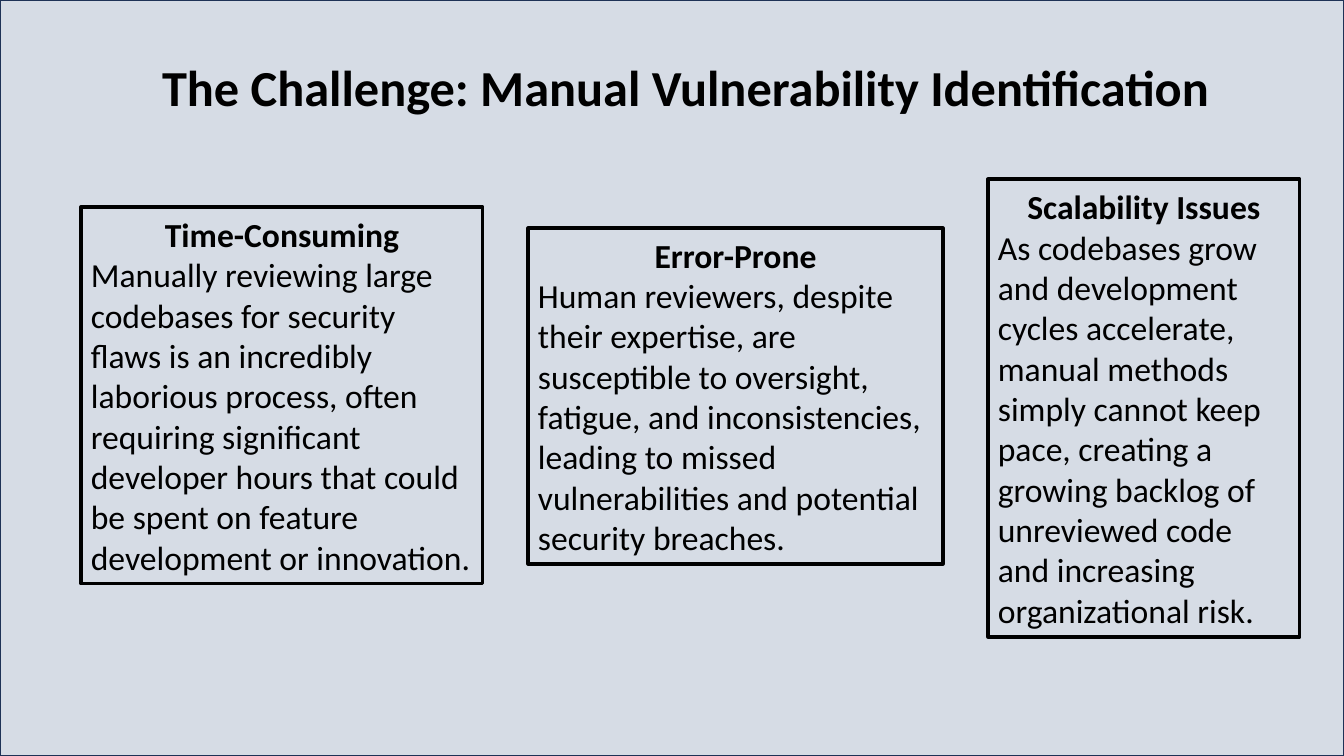
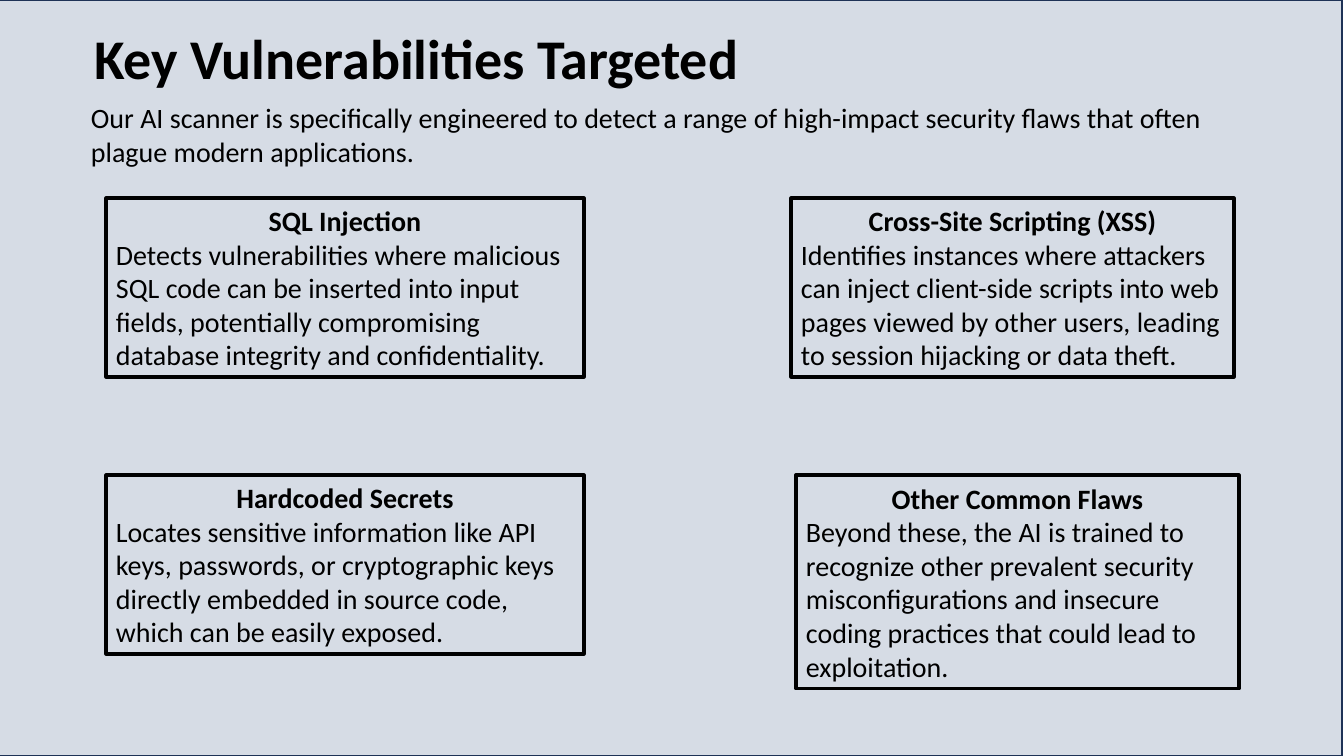
import pptx
import pptx.util
import pptx.dml.color
import pptx.enum.shapes
import pptx.enum.text

PX = 914400 / 100.8  # EMU per px
W, H = 1344, 756

BACKDROP = pptx.dml.color.RGBColor(0xD6, 0xDC, 0xE5)
EDGE = pptx.dml.color.RGBColor(0x1E, 0x32, 0x56)
BLACK = pptx.dml.color.RGBColor(0, 0, 0)

LEFT = pptx.enum.text.PP_ALIGN.LEFT
CENTER = pptx.enum.text.PP_ALIGN.CENTER
TOP = pptx.enum.text.MSO_ANCHOR.TOP
MIDDLE = pptx.enum.text.MSO_ANCHOR.MIDDLE
RECT = pptx.enum.shapes.MSO_SHAPE.RECTANGLE


def box(*lengths):
    return [pptx.util.Emu(round(n * PX)) for n in lengths]


def write(sp, paragraphs, size, anchor):
    """Fill a shape with (text, bold, alignment) paragraphs."""
    tf = sp.text_frame
    frame = {"word_wrap": True, "vertical_anchor": anchor,
             "auto_size": pptx.enum.text.MSO_AUTO_SIZE.NONE}
    for name, value in frame.items():
        setattr(tf, name, value)
    for i, (text, bold, align) in enumerate(paragraphs):
        p = tf.add_paragraph() if i else tf.paragraphs[0]
        p.alignment = align
        r = p.add_run()
        r.text = text
        font = {"name": "Calibri", "size": pptx.util.Pt(size), "bold": bold}
        for name, value in font.items():
            setattr(r.font, name, value)
        r.font.color.rgb = BLACK


# Slide content: places are left, top, width, height in px
slides = [
    {
        "title": "The Challenge: Manual Vulnerability Identification",
        "title_at": (152, 51, 1083, 102), "title_size": 36,
        "backdrop_left": 0, "card_size": 24,
        "cards": [
            ((81, 207, 402, 377), "Time-Consuming",
             "Manually reviewing large codebases for security flaws is an "
             "incredibly laborious process, often requiring significant "
             "developer hours that could be spent on feature development "
             "or innovation."),
            ((528, 228, 415, 336), "Error-Prone",
             "Human reviewers, despite their expertise, are susceptible to "
             "oversight, fatigue, and inconsistencies, leading to missed "
             "vulnerabilities and potential security breaches."),
            ((988, 179, 312, 458), "Scalability Issues",
             "As codebases grow and development cycles accelerate, manual "
             "methods simply cannot keep pace, creating a growing backlog "
             "of unreviewed code and increasing organizational risk."),
        ],
    },
    {
        "title": "Key Vulnerabilities Targeted",
        "title_at": (84, 18, 1171, 78), "title_size": 40,
        "intro": "Our AI scanner is specifically engineered to detect a range "
                 "of high-impact security flaws that often plague modern "
                 "applications.",
        "intro_at": (81, 96, 1182, 78),
        "backdrop_left": -2, "card_size": 20,
        "cards": [
            ((106, 198, 478, 179), "SQL Injection",
             "Detects vulnerabilities where malicious SQL code can be "
             "inserted into input fields, potentially compromising database "
             "integrity and confidentiality."),
            ((791, 198, 443, 179), "Cross-Site Scripting (XSS)",
             "Identifies instances where attackers can inject client-side "
             "scripts into web pages viewed by other users, leading to "
             "session hijacking or data theft."),
            ((106, 475, 478, 179), "Hardcoded Secrets",
             "Locates sensitive information like API keys, passwords, or "
             "cryptographic keys directly embedded in source code, which "
             "can be easily exposed."),
            ((796, 475, 443, 214), "Other Common Flaws",
             "Beyond these, the AI is trained to recognize other prevalent "
             "security misconfigurations and insecure coding practices that "
             "could lead to exploitation."),
        ],
    },
]

prs = pptx.Presentation()
prs.slide_width, prs.slide_height = box(W, H)

for content in slides:
    s = prs.slides.add_slide(prs.slide_layouts[5])

    # Backdrop, sent behind the title
    sp = s.shapes.add_shape(RECT, *box(content["backdrop_left"], 0, W, H))
    sp.shadow.inherit = False
    sp.fill.solid()
    sp.fill.fore_color.rgb = BACKDROP
    sp.line.color.rgb = EDGE
    sp.line.width = pptx.util.Pt(1)
    s.shapes._spTree.insert(2, sp._element)

    # Title
    title = s.shapes.title
    title.left, title.top, title.width, title.height = box(*content["title_at"])
    write(title, [(content["title"], True, LEFT)], content["title_size"], TOP)

    # Introduction
    if "intro" in content:
        sp = s.shapes.add_textbox(*box(*content["intro_at"]))
        write(sp, [(content["intro"], False, LEFT)], 20, TOP)

    # Outlined cards
    for place, heading, text in content["cards"]:
        sp = s.shapes.add_shape(RECT, *box(*place))
        sp.shadow.inherit = False
        sp.fill.background()
        sp.line.color.rgb = BLACK
        sp.line.width = pptx.util.Pt(2.25)
        write(sp, [(heading, True, CENTER), (text, False, LEFT)],
              content["card_size"], MIDDLE)

prs.save("out.pptx")
